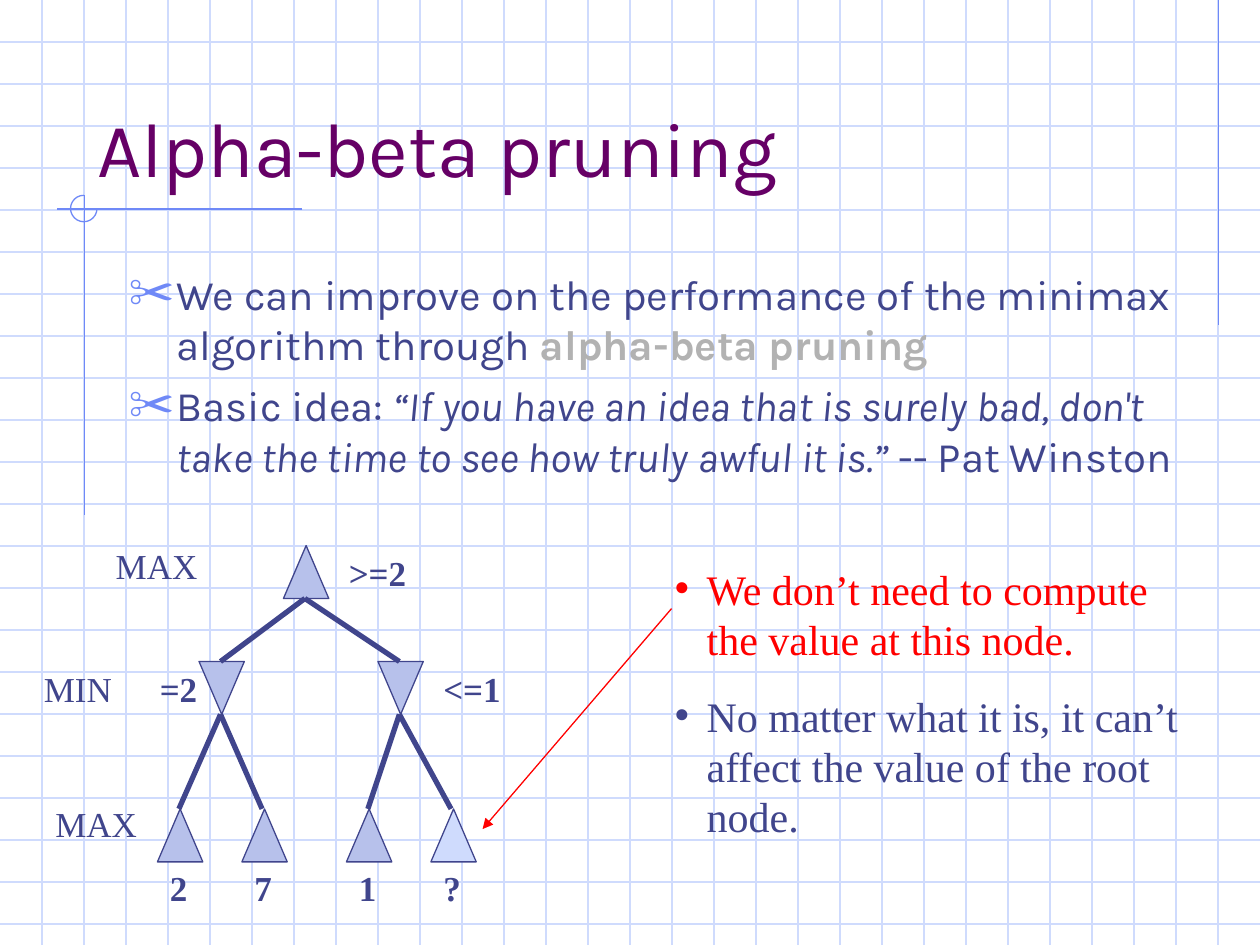
from lxml import etree
from pptx import Presentation
from pptx.dml.color import RGBColor
from pptx.enum.shapes import MSO_CONNECTOR, MSO_SHAPE
from pptx.enum.text import MSO_ANCHOR, MSO_AUTO_SIZE, PP_ALIGN
from pptx.oxml.ns import qn
from pptx.util import Inches, Pt

STRAIGHT = MSO_CONNECTOR.STRAIGHT
TRIANGLE = MSO_SHAPE.ISOSCELES_TRIANGLE
ARC = MSO_SHAPE.ARC
BOTTOM = MSO_ANCHOR.BOTTOM
TOP = MSO_ANCHOR.TOP
NO_FIT = MSO_AUTO_SIZE.NONE
GROW = MSO_AUTO_SIZE.SHAPE_TO_FIT_TEXT
LEFT = PP_ALIGN.LEFT

GRID_BLUE = RGBColor(0xCF, 0xDB, 0xFD)
ACCENT_BLUE = RGBColor(0x6F, 0x89, 0xF7)
NODE_BLUE = RGBColor(0xB7, 0xC1, 0xEB)
NAVY = RGBColor(0x40, 0x45, 0x8C)
PURPLE = RGBColor(0x66, 0x00, 0x66)
GRAY = RGBColor(0xB2, 0xB2, 0xB2)
RED = RGBColor(0xFF, 0x00, 0x00)

SANS = "Karla"
SERIF = "Times New Roman"

presentation = Presentation()
presentation.slide_width = Inches(10)
presentation.slide_height = Inches(7.5)
slide = presentation.slides.add_slide(presentation.slide_layouts[1])
shapes = slide.shapes


def draw_line(start, end, color, width=0.75):
    line = shapes.add_connector(STRAIGHT, *(Inches(value) for value in start + end))
    line.line.color.rgb = color
    line.line.width = Pt(width)
    etree.SubElement(line.element.spPr, qn("a:effectLst"))
    return line


def write_paragraph(paragraph, runs, base, bullet=None, bullet_color=None, indent=0, space=0):
    paragraph.alignment = LEFT
    paragraph.space_before = Pt(space)
    if bullet:
        properties = paragraph._p.get_or_add_pPr()
        properties.set("marL", str(Inches(indent)))
        properties.set("indent", str(-Inches(indent)))
        color = etree.SubElement(properties, qn("a:buClr"))
        etree.SubElement(color, qn("a:srgbClr"), val=str(bullet_color))
        etree.SubElement(properties, qn("a:buSzPct"), val="110000")
        etree.SubElement(properties, qn("a:buFont"), typeface=base["name"])
        etree.SubElement(properties, qn("a:buChar"), char=bullet)
    for text, changes in runs:
        run = paragraph.add_run()
        run.text = text
        values = {**base, **changes}
        run.font.color.rgb = values.pop("color")
        for name, value in values.items():
            setattr(run.font, name, value)


for row in range(1, 23):
    draw_line((0, row / 3), (10, row / 3), GRID_BLUE)
for column in range(1, 30):
    draw_line((column / 3, 0), (column / 3, 7.5), GRID_BLUE)

for start, end in [
    ((9.67, 0), (9.67, 2.58)),
    ((2.4, 1.66), (0.45, 1.66)),
    ((0.67, 1.55), (0.67, 4.09)),
]:
    draw_line(start, end, ACCENT_BLUE)

ring = shapes.add_shape(ARC, Inches(0.56), Inches(1.55), Inches(0.21), Inches(0.21))
ring.adjustments[0] = 0
ring.adjustments[1] = 162
ring.shadow.inherit = False
ring.fill.background()
ring.line.color.rgb = ACCENT_BLUE
ring.line.width = Pt(0.75)

title, body = shapes.title, slide.placeholders[1]
for placeholder, box, anchor in [
    (title, (0.67, 0.33, 8.5, 1.25), BOTTOM),
    (body, (0.92, 2.08, 8.5, 4.5), TOP),
]:
    shapes.element.append(placeholder.element)
    placeholder.left, placeholder.top, placeholder.width, placeholder.height = map(Inches, box)
    placeholder.text_frame.auto_size = NO_FIT
    placeholder.text_frame.vertical_anchor = anchor

title_format = {"name": SANS, "size": Pt(44), "color": PURPLE}
write_paragraph(title.text_frame.paragraphs[0], [("Alpha-beta pruning", {})], title_format)

body_format = {"name": SANS, "size": Pt(24), "color": NAVY}
points = [
    [
        ("We can improve on the performance of the minimax algorithm through ", {}),
        ("alpha-beta pruning", {"color": GRAY, "bold": True}),
    ],
    [
        ("Basic idea: ", {}),
        (
            "“If you have an idea that is surely bad, don't take the time "
            "to see how truly awful it is.”",
            {"italic": True},
        ),
        (" -- Pat Winston", {}),
    ],
]
for index, runs in enumerate(points):
    frame = body.text_frame
    paragraph = frame.add_paragraph() if index else frame.paragraphs[0]
    write_paragraph(paragraph, runs, body_format, "✂", ACCENT_BLUE, 0.38, 6 * index)

for left, top, flipped, color in [
    (2.25, 4.33, False, NODE_BLUE),
    (3, 5.25, True, NODE_BLUE),
    (1.58, 5.25, True, NODE_BLUE),
    (1.92, 6.42, False, NODE_BLUE),
    (1.25, 6.42, False, NODE_BLUE),
    (3.42, 6.42, False, GRID_BLUE),
    (2.75, 6.42, False, NODE_BLUE),
]:
    node = shapes.add_shape(TRIANGLE, Inches(left), Inches(top), Inches(0.36), Inches(0.42))
    node.shadow.inherit = False
    node.fill.solid()
    node.fill.fore_color.rgb = color
    node.line.color.rgb = NAVY
    node.line.width = Pt(0.75)
    if flipped:
        node.element.spPr.xfrm.set("flipV", "1")

root = (2.42, 4.75)
for middle, leaves in [(1.75, (1.42, 2.08)), (3.17, (2.92, 3.58))]:
    draw_line((middle, 5.25), root, NAVY, 3)
    for leaf in leaves:
        draw_line((leaf, 6.42), (middle, 5.67), NAVY, 3)

for text, left, top, width, bold in [
    ("2", 1.25, 6.83, 0.34, True),
    ("7", 1.92, 6.83, 0.34, True),
    ("1", 2.75, 6.83, 0.34, True),
    ("=2", 1.17, 5.25, 0.5, True),
    (">=2", 2.67, 4.33, 0.67, True),
    ("<=1", 3.42, 5.25, 0.67, True),
    ("?", 3.42, 6.83, 0.34, True),
    ("MAX", 0.82, 4.27, 0.85, False),
    ("MAX", 0.34, 6.32, 0.85, False),
    ("MIN", 0.25, 5.25, 0.74, False),
]:
    label = shapes.add_textbox(Inches(left), Inches(top), Inches(width), Inches(0.44))
    label.text_frame.word_wrap = False
    label.text_frame.auto_size = GROW
    label_format = {"name": SERIF, "size": Pt(20), "color": NAVY, "bold": bold}
    write_paragraph(label.text_frame.paragraphs[0], [(text, {})], label_format)

notes = shapes.add_textbox(Inches(5.25), Inches(4.42), Inches(4.42), Inches(2.31))
notes.text_frame.word_wrap = True
for index, (text, color) in enumerate([
    ("We don’t need to compute the value at this node.", RED),
    ("No matter what it is, it can’t affect the value of the root node.", NAVY),
]):
    frame = notes.text_frame
    paragraph = frame.add_paragraph() if index else frame.paragraphs[0]
    note_format = {"name": SERIF, "size": Pt(24), "color": color}
    write_paragraph(paragraph, [(text, {})], note_format, "•", color, 0.26, 15 * index)

pointer = draw_line((5.33, 4.83), (3.83, 6.58), RED)
etree.SubElement(pointer.line._get_or_add_ln(), qn("a:tailEnd"), type="triangle")

presentation.save("out.pptx")
